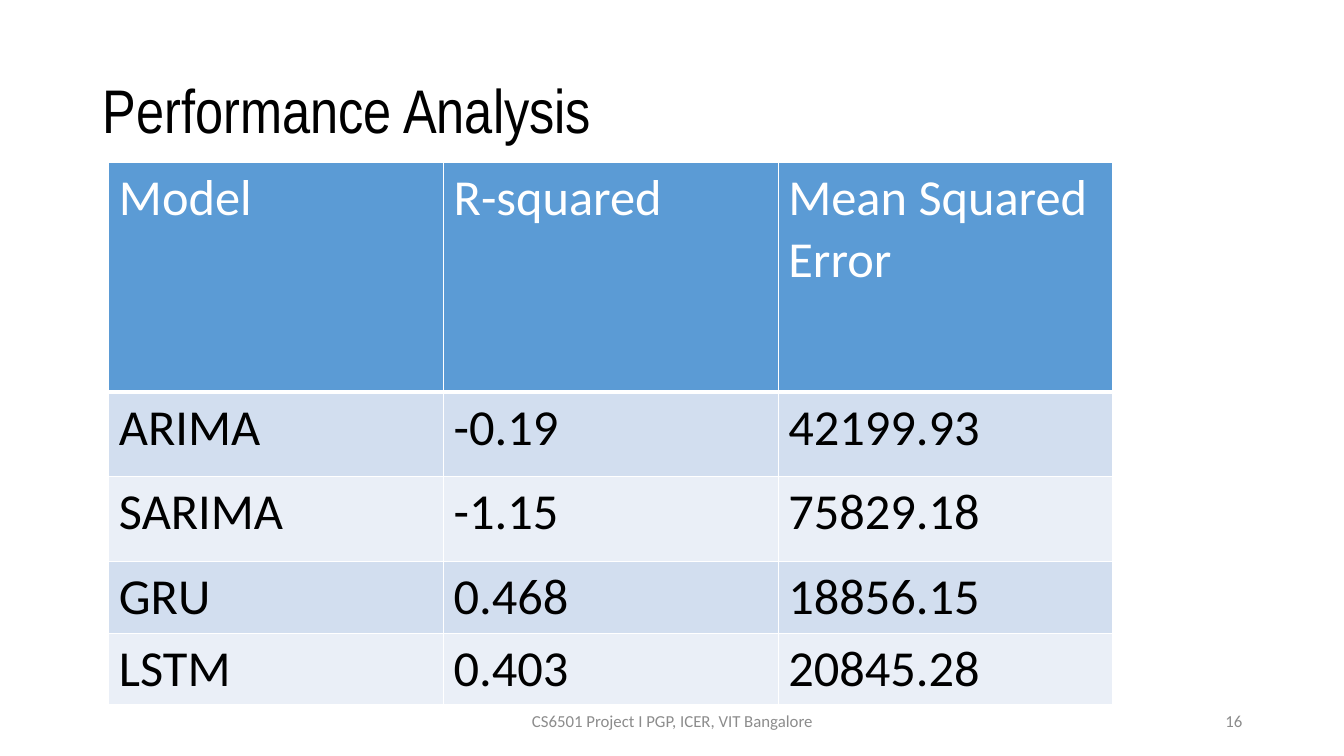
import pptx
import pptx.util
import pptx.dml.color
import pptx.enum.text
import pptx.oxml.ns
from lxml import etree

Inches, Pt = pptx.util.Inches, pptx.util.Pt
Align = pptx.enum.text.PP_ALIGN
Anchor = pptx.enum.text.MSO_ANCHOR

HUES = {
    "ink": "000000",
    "paper": "FFFFFF",
    "head": "5B9BD5",
    "odd": "D2DEEF",
    "even": "EAEFF7",
    "foot": "8C8C8C",
}
ROWS = [
    ("Model", "R-squared", "Mean Squared Error"),
    ("ARIMA", "-0.19", "42199.93"),
    ("SARIMA", "-1.15", "75829.18"),
    ("GRU", "0.468", "18856.15"),
    ("LSTM", "0.403", "20845.28"),
]
TALL = [2.28, 0.84, 0.84, 0.49, 0.49]
WIDE = 3.32


def hue(name):
    return pptx.dml.color.RGBColor.from_string(HUES[name])


def style(para, size, color, face="Calibri", align=Align.LEFT):
    para.alignment = align
    para.font.size = Pt(size)
    para.font.name = face
    para.font.color.rgb = hue(color)


def add_title(slide, text):
    title = slide.shapes.title
    title.left, title.top = Inches(0.92), Inches(0.4)
    title.width, title.height = Inches(11.5), Inches(1.45)
    frame = title.text_frame
    frame.text = text
    frame.vertical_anchor = Anchor.MIDDLE
    para = frame.paragraphs[0]
    para.line_spacing = 0.9
    style(para, 44, "ink", "Arial Narrow")


def add_foot(slide, text, left, width, align):
    box = slide.shapes.add_textbox(
        Inches(left), Inches(6.95), Inches(width), Inches(0.4))
    frame = box.text_frame
    frame.word_wrap = True
    frame.vertical_anchor = Anchor.MIDDLE
    frame.text = text
    style(frame.paragraphs[0], 12, "foot", align=align)


def add_edge(cell, side, points):
    qn = pptx.oxml.ns.qn
    props = cell._tc.get_or_add_tcPr()
    line = etree.SubElement(props, qn("a:ln" + side), w=str(Pt(points)))
    fill = etree.SubElement(line, qn("a:solidFill"))
    etree.SubElement(fill, qn("a:srgbClr"), val=HUES["paper"])


def fill_cell(cell, text, row):
    # Borders come before the fill in the cell properties
    for side in "LRTB":
        add_edge(cell, side, 3 if row == 0 and side == "B" else 1)
    back = "head" if row == 0 else "odd" if row % 2 else "even"
    cell.fill.solid()
    cell.fill.fore_color.rgb = hue(back)
    cell.text = text
    style(cell.text_frame.paragraphs[0], 36, "ink" if row else "paper")


def add_grid(slide, rows):
    cols = len(rows[0])
    table = slide.shapes.add_table(
        len(rows), cols, Inches(1.08), Inches(1.61),
        Inches(WIDE * cols), Inches(sum(TALL))).table
    for col in table.columns:
        col.width = Inches(WIDE)
    for r, texts in enumerate(rows):
        table.rows[r].height = Inches(TALL[r])
        for c, text in enumerate(texts):
            fill_cell(table.cell(r, c), text, r)


def main():
    deck = pptx.Presentation()
    deck.slide_width, deck.slide_height = Inches(13.33), Inches(7.5)
    slide = deck.slides.add_slide(deck.slide_layouts[5])

    # Heading and results
    add_title(slide, "Performance Analysis")
    add_grid(slide, ROWS)

    # Footer
    add_foot(slide, "CS6501 Project I PGP, ICER, VIT Bangalore",
             4.42, 4.5, Align.CENTER)
    add_foot(slide, "16", 9.42, 3, Align.RIGHT)

    deck.save("out.pptx")


if __name__ == "__main__":
    main()
